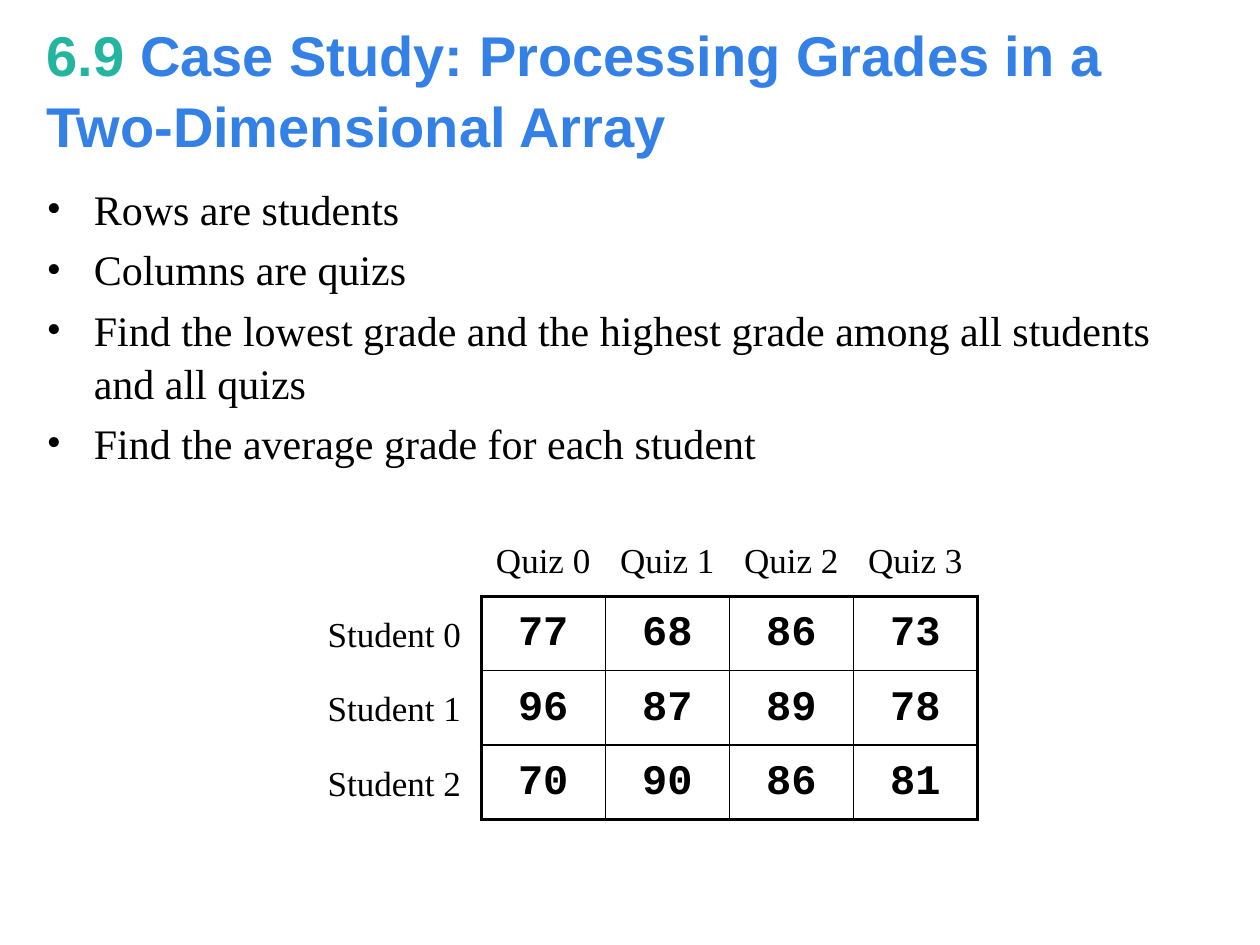
from lxml.etree import SubElement
from pptx import Presentation
from pptx.dml.color import RGBColor
from pptx.enum.text import MSO_ANCHOR, PP_ALIGN
from pptx.oxml.ns import qn
from pptx.util import Pt

# Content
TITLE = [("6.9 ", RGBColor(0x24, 0xB5, 0xA1)),
         ("Case Study: Processing Grades in a Two-Dimensional Array",
          RGBColor(0x33, 0x80, 0xE6))]
BULLETS = [
    "Rows are students",
    "Columns are quizs",
    "Find the lowest grade and the highest grade among all students and all quizs",
    "Find the average grade for each student",
]
GRADES = [
    [77, 68, 86, 73],
    [96, 87, 89, 78],
    [70, 90, 86, 81],
]

BLACK = RGBColor(0, 0, 0)

# Layout, in points
MARGIN, TEXT_WIDTH = 19.5, 680.5
GRID_LEFT, GRID_TOP = 275, 340.75
CELL_WIDTH, CELL_HEIGHT = 70.88, 42.5
STUDENT_WIDTH = 99.25
INDENT = 27
THIN, THICK = 1, 2.25


def style(paragraph, name, size, bold=False):
    font = paragraph.font
    font.name, font.size, font.bold = name, Pt(size), bold
    font.color.rgb = BLACK


def add_text_frame(slide, left, top, width, height, anchor=MSO_ANCHOR.MIDDLE, wrap=True):
    box = slide.shapes.add_textbox(Pt(left), Pt(top), Pt(width), Pt(height))
    frame = box.text_frame
    frame.word_wrap = wrap
    frame.vertical_anchor = anchor
    return frame


def add_label(slide, text, left, top, width):
    frame = add_text_frame(slide, left, top, width, CELL_HEIGHT, wrap=False)
    paragraph = frame.paragraphs[0]
    paragraph.text = text
    paragraph.alignment = PP_ALIGN.CENTER
    style(paragraph, "Times New Roman", 20)


def add_bullet(paragraph):
    properties = paragraph._p.get_or_add_pPr()
    properties.set("marL", str(Pt(INDENT)))
    properties.set("indent", str(-Pt(INDENT)))
    SubElement(properties, qn("a:buFont"), typeface="Times New Roman")
    SubElement(properties, qn("a:buChar"), char="•")


def set_borders(cell, widths):
    properties = cell._tc.get_or_add_tcPr()
    for position, (side, width) in enumerate(widths.items()):
        line = properties.makeelement(qn(f"a:ln{side}"), {"w": str(Pt(width))})
        fill = SubElement(line, qn("a:solidFill"))
        SubElement(fill, qn("a:srgbClr"), val=str(BLACK))
        properties.insert(position, line)


def add_grades(slide):
    rows, columns = len(GRADES), len(GRADES[0])
    frame = slide.shapes.add_table(rows, columns, Pt(GRID_LEFT), Pt(GRID_TOP),
                                   Pt(CELL_WIDTH * columns), Pt(CELL_HEIGHT * rows))
    table = frame.table
    table.first_row = table.horz_banding = False
    for column in table.columns:
        column.width = Pt(CELL_WIDTH)
    for r, grades in enumerate(GRADES):
        table.rows[r].height = Pt(CELL_HEIGHT)
        for c, grade in enumerate(grades):
            cell = table.cell(r, c)
            cell.text = str(grade)
            cell.fill.background()
            cell.vertical_anchor = MSO_ANCHOR.MIDDLE
            cell.margin_top, cell.margin_bottom = Pt(4.3), Pt(2.9)
            paragraph = cell.text_frame.paragraphs[0]
            paragraph.alignment = PP_ALIGN.CENTER
            style(paragraph, "Courier New", 24, bold=True)
            # Thick lines around the outside only
            outer = {"L": c == 0, "R": c == columns - 1, "T": r == 0, "B": r == rows - 1}
            set_borders(cell, {side: THICK if edge else THIN for side, edge in outer.items()})


def main():
    presentation = Presentation()
    presentation.slide_width, presentation.slide_height = Pt(720), Pt(540)
    slide = presentation.slides.add_slide(presentation.slide_layouts[6])

    # Title
    paragraph = add_text_frame(slide, MARGIN, 15, TEXT_WIDTH, 70.5).paragraphs[0]
    paragraph.line_spacing = 1.05
    style(paragraph, "Arial", 32, bold=True)
    for text, color in TITLE:
        run = paragraph.add_run()
        run.text = text
        run.font.color.rgb = color

    # Bullets
    frame = add_text_frame(slide, MARGIN, 100, TEXT_WIDTH, 411, MSO_ANCHOR.TOP)
    frame.text = "\n".join(BULLETS)
    for paragraph in frame.paragraphs:
        paragraph.line_spacing = 1.05
        paragraph.space_before = Pt(4.2)
        add_bullet(paragraph)
        style(paragraph, "Times New Roman", 24)

    # Grade table with its row and column labels
    add_grades(slide)
    for r in range(len(GRADES)):
        add_label(slide, f"Student {r}", GRID_LEFT - STUDENT_WIDTH,
                  GRID_TOP + r * CELL_HEIGHT, STUDENT_WIDTH)
    for c in range(len(GRADES[0])):
        add_label(slide, f"Quiz {c}", GRID_LEFT + c * CELL_WIDTH,
                  GRID_TOP - CELL_HEIGHT, CELL_WIDTH)

    presentation.save("out.pptx")


if __name__ == "__main__":
    main()
